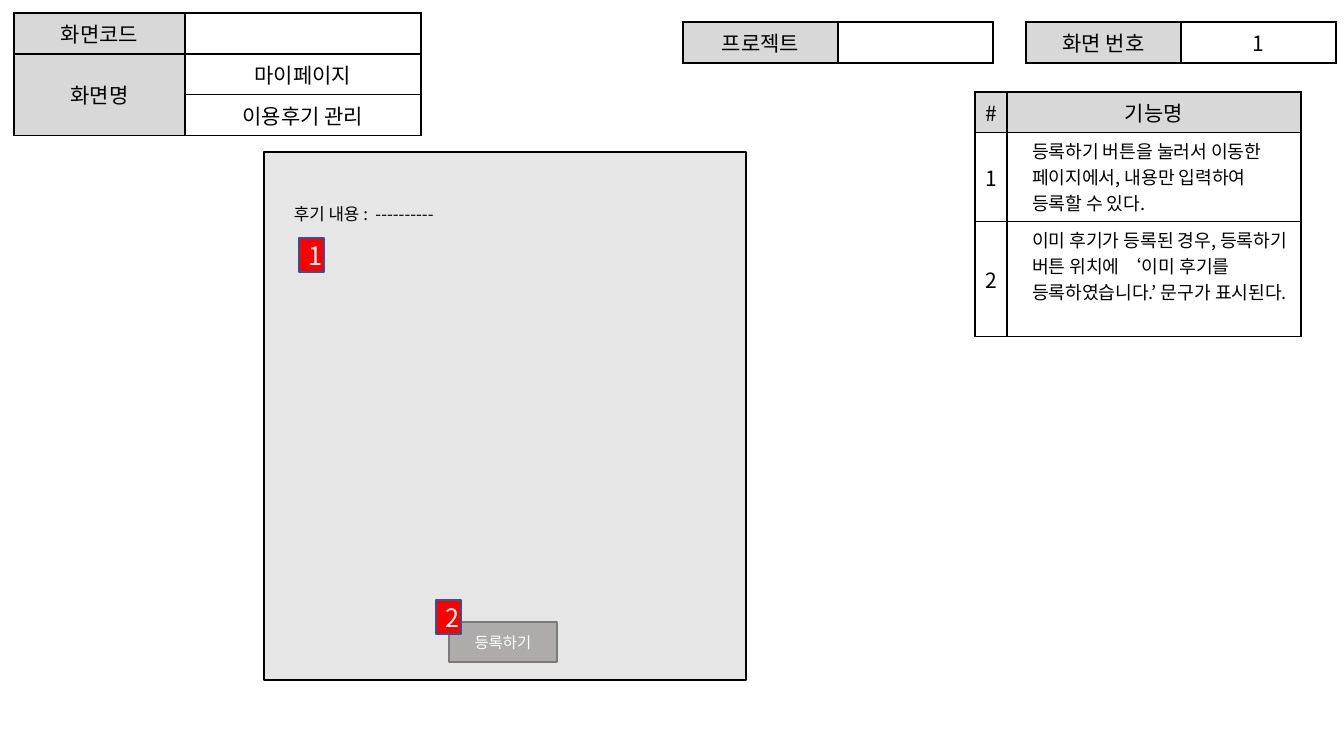
"""Build the screen specification slide for the review management page."""
from dataclasses import dataclass

from lxml import etree
from pptx import Presentation
from pptx.dml.color import RGBColor
from pptx.enum.shapes import MSO_SHAPE
from pptx.enum.text import MSO_ANCHOR, MSO_AUTO_SIZE, PP_ALIGN
from pptx.oxml.ns import qn
from pptx.util import Emu, Pt

RECTANGLE = MSO_SHAPE.RECTANGLE
MIDDLE, TOP = MSO_ANCHOR.MIDDLE, MSO_ANCHOR.TOP
CENTER, LEFT = PP_ALIGN.CENTER, PP_ALIGN.LEFT
FIT_SHAPE = MSO_AUTO_SIZE.SHAPE_TO_FIT_TEXT

PAGE_SIZE = (1344, 756)
EMU_PER_PX = 914400 / 100.8
NOTE_INDENT = 15

TABLES = [
    {"at": (14, 13), "columns": (171, 236), "rows": (41, 40, 41),
     "cells": [("화면코드", ""), ("화면명", "마이페이지"), ("", "이용후기 관리")],
     "headers": {(0, 0), (1, 0), (2, 0)}, "merge": ((1, 0), (2, 0))},
    {"at": (1026, 22), "columns": (155, 155), "rows": (41,),
     "cells": [("화면 번호", "1")], "headers": {(0, 0)}},
    {"at": (683, 22), "columns": (155, 155), "rows": (41,),
     "cells": [("프로젝트", "")], "headers": {(0, 0)}},
    {"at": (975, 92), "columns": (32, 294), "rows": (40, 89, 115),
     "cells": [
         ("#", "기능명"),
         ("1", "등록하기 버튼을 눌러서 이동한 페이지에서, 내용만 입력하여 등록할 수 있다."),
         ("2", "이미 후기가 등록된 경우, 등록하기 버튼 위치에 ‘이미 후기를 등록하였습니다.’ 문구가 표시된다."),
     ],
     "headers": {(0, 0), (0, 1)}, "notes": {(1, 1), (2, 1)}},
]
PANEL = (264, 152, 482, 528)
REVIEW = ("후기 내용 :  ----------", (284, 199, 228, 36))
BUTTON = ("등록하기", (449, 622, 108, 40))
BADGES = [("1", (299, 238)), ("2", (436, 600))]
BADGE_SIZE = (25, 34)


@dataclass(frozen=True)
class Theme:
    """Colours, type sizes and font of the slide."""
    font: str = "Noto Sans CJK KR"
    ink: str = "000000"
    paper: str = "FFFFFF"
    header: str = "D8D8D8"
    panel: str = "E7E6E6"
    button: str = "AFABAB"
    button_line: str = "7A7A7A"
    badge: str = "FF0000"
    badge_line: str = "325491"
    table_size: int = 15
    note_size: int = 13
    review_size: int = 12
    button_size: int = 11
    badge_size: int = 18
    line_width: int = 1


THEME = Theme()


def px(length):
    """Turn pixels into EMU."""
    return Emu(round(length * EMU_PER_PX))


def write(frame, text, size, color, align):
    """Put one styled paragraph into a text frame."""
    para = frame.paragraphs[0]
    para.text = text
    para.alignment = align
    para.font.size = Pt(size)
    para.font.color.rgb = RGBColor.from_string(color)
    para.font.name = THEME.font
    properties = para._p.get_or_add_pPr()
    east_asian = etree.SubElement(properties.find(qn("a:defRPr")), qn("a:ea"))
    east_asian.set("typeface", THEME.font)
    return properties


def style_cell(cell, fill):
    """Fill a cell and draw its four borders."""
    properties = cell._tc.get_or_add_tcPr()
    for side in ("lnL", "lnR", "lnT", "lnB"):
        border = etree.SubElement(properties, qn(f"a:{side}"), w=str(Pt(THEME.line_width)))
        solid = etree.SubElement(border, qn("a:solidFill"))
        etree.SubElement(solid, qn("a:srgbClr"), val=THEME.ink)
    cell.fill.solid()
    cell.fill.fore_color.rgb = RGBColor.from_string(fill)


def add_grid(page, grid):
    """Add one bordered table."""
    columns, rows = grid["columns"], grid["rows"]
    frame = page.shapes.add_table(len(rows), len(columns), *map(px, grid["at"]),
                                  px(sum(columns)), px(sum(rows)))
    table = frame.table
    for column, width in zip(table.columns, columns):
        column.width = px(width)
    for row, height in zip(table.rows, rows):
        row.height = px(height)
    for r, texts in enumerate(grid["cells"]):
        for c, text in enumerate(texts):
            cell = table.cell(r, c)
            is_note = (r, c) in grid.get("notes", ())
            style_cell(cell, THEME.header if (r, c) in grid["headers"] else THEME.paper)
            cell.vertical_anchor = TOP if is_note else MIDDLE
            properties = write(cell.text_frame, text,
                               THEME.note_size if is_note else THEME.table_size,
                               THEME.ink, LEFT if is_note else CENTER)
            if is_note:
                properties.set("marL", str(px(NOTE_INDENT)))
    if "merge" in grid:
        first, last = grid["merge"]
        table.cell(*first).merge(table.cell(*last))


def add_box(group, area, fill, line, text="", size=THEME.badge_size):
    """Add a rectangle with an optional centred label."""
    box = group.shapes.add_shape(RECTANGLE, *map(px, area))
    box.shadow.inherit = False
    box.fill.solid()
    box.fill.fore_color.rgb = RGBColor.from_string(fill)
    box.line.color.rgb = RGBColor.from_string(line)
    box.line.width = Pt(THEME.line_width)
    if text:
        box.text_frame.vertical_anchor = MIDDLE
        write(box.text_frame, text, size, THEME.paper, CENTER)


def add_screen(page):
    """Add the grouped mock-up of the review screen."""
    group = page.shapes.add_group_shape()
    add_box(group, PANEL, THEME.panel, THEME.ink)
    text, area = REVIEW
    review = group.shapes.add_textbox(*map(px, area))
    review.text_frame.word_wrap = True
    review.text_frame.auto_size = FIT_SHAPE
    write(review.text_frame, text, THEME.review_size, THEME.ink, LEFT)
    label, area = BUTTON
    add_box(group, area, THEME.button, THEME.button_line, label, THEME.button_size)
    for number, corner in BADGES:
        add_box(group, corner + BADGE_SIZE, THEME.badge, THEME.badge_line, number)


def main():
    """Create and save the deck."""
    deck = Presentation()
    deck.slide_width, deck.slide_height = map(px, PAGE_SIZE)
    page = deck.slides.add_slide(deck.slide_layouts[6])
    for grid in TABLES:
        add_grid(page, grid)
    add_screen(page)
    deck.save("out.pptx")


if __name__ == "__main__":
    main()
